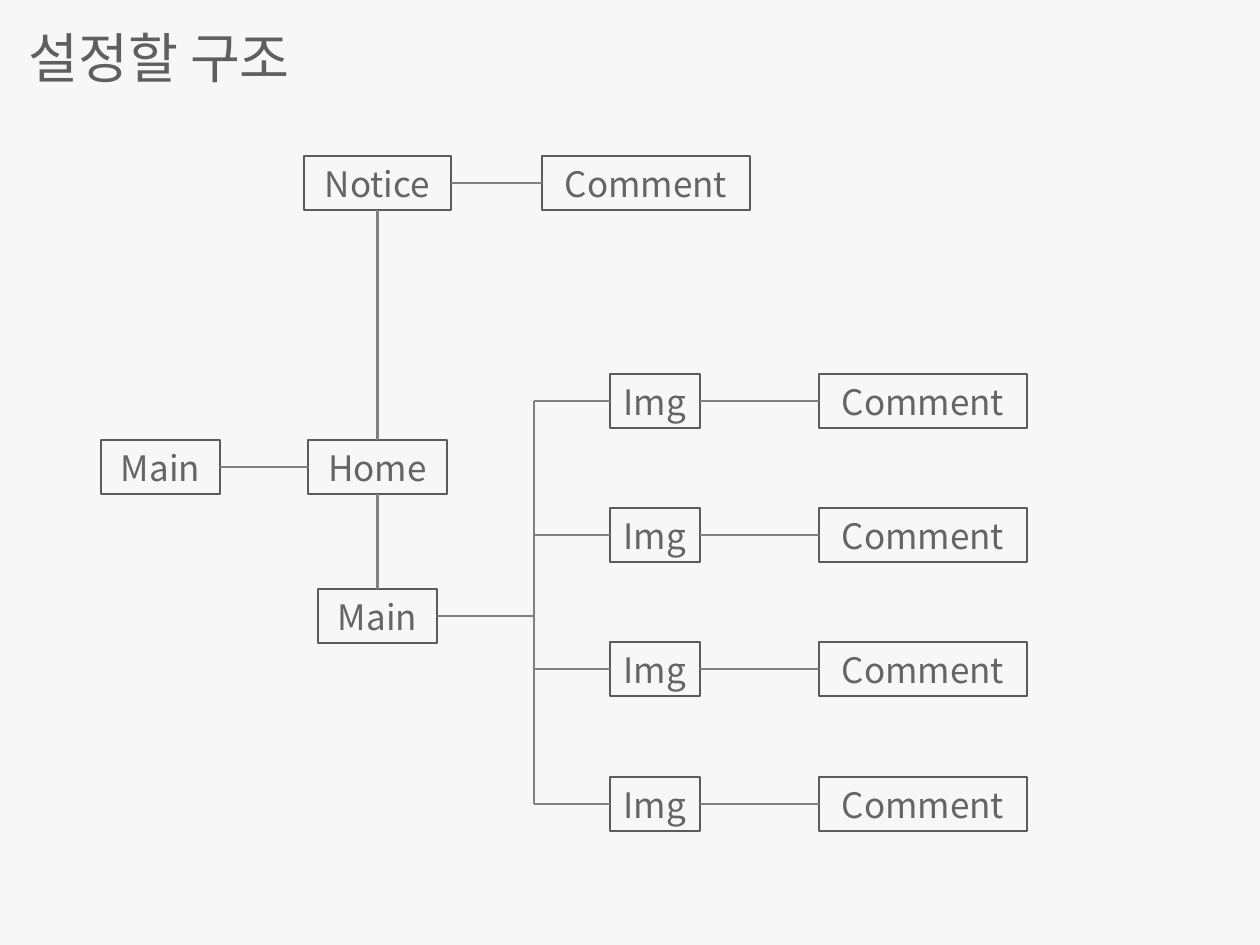
"""Build the slide that shows the planned site structure as a tree of boxes."""
import pptx
import pptx.dml.color
import pptx.enum.shapes
import pptx.enum.text
import pptx.oxml.ns
import pptx.util
from lxml import etree

SCALE = 914400 / 126
FONT = "Noto Sans CJK KR"
BACKGROUND = pptx.dml.color.RGBColor(0xF7, 0xF7, 0xF7)
TITLE = pptx.dml.color.RGBColor(0x5F, 0x5F, 0x5F)
TEXT = pptx.dml.color.RGBColor(0x66, 0x65, 0x65)
BORDER = pptx.dml.color.RGBColor(0x5B, 0x5B, 0x5B)
LINK = pptx.dml.color.RGBColor(0x80, 0x80, 0x80)
BOX_HEIGHT = 54
TRUNK_X = 534


def px(*values):
    return [pptx.util.Emu(round(v * SCALE)) for v in values]


def add_run(sp, text, size, color):
    tf = sp.text_frame
    tf.vertical_anchor = pptx.enum.text.MSO_ANCHOR.MIDDLE
    tf.word_wrap = False
    p = tf.paragraphs[0]
    r = p.add_run()
    r.text = text
    r.font.size = pptx.util.Pt(size)
    r.font.name = FONT
    r.font.color.rgb = color
    ea = etree.SubElement(r.font._element, pptx.oxml.ns.qn("a:ea"))
    ea.set("typeface", FONT)
    return p


prs = pptx.Presentation()
prs.slide_width, prs.slide_height = px(1260, 945)
s = prs.slides.add_slide(prs.slide_layouts[6])
s.background.fill.solid()
s.background.fill.fore_color.rgb = BACKGROUND

title = s.shapes.add_textbox(*px(16, 18, 295, 78))
add_run(title, "설정할 구조", 31, TITLE)

nodes = [
    ("main", "Main", 101, 440, 119),
    ("home", "Home", 308, 440, 139),
    ("notice", "Notice", 304, 156, 147),
    ("notice comment", "Comment", 542, 156, 208),
    ("gallery", "Main", 318, 589, 119),
]
links = [
    ("main", 3, "home", 1),
    ("notice", 2, "home", 0),
    ("notice", 3, "notice comment", 1),
    ("home", 2, "gallery", 0),
]
row_tops = [374 + i * 403 // 3 for i in range(4)]
for i, top in enumerate(row_tops):
    nodes.append((f"img {i}", "Img", 610, top, 90))
    nodes.append((f"comment {i}", "Comment", 819, top, 208))
    links.append((f"img {i}", 3, f"comment {i}", 1))

boxes = {}
for key, text, left, top, width in nodes:
    sp = s.shapes.add_shape(pptx.enum.shapes.MSO_SHAPE.RECTANGLE, *px(left, top, width, BOX_HEIGHT))
    sp.shadow.inherit = False
    sp.fill.background()
    sp.line.color.rgb = BORDER
    sp.line.width = pptx.util.Pt(1.25)
    p = add_run(sp, text, 20, TEXT)
    p.alignment = pptx.enum.text.PP_ALIGN.CENTER
    boxes[key] = sp

row_centers = [top + BOX_HEIGHT // 2 for top in row_tops]
gallery_y = 589 + BOX_HEIGHT // 2
segments = [((0, 0, 0, 0), *link) for link in links]
segments.append(((TRUNK_X, row_centers[0], TRUNK_X, row_centers[-1]), None, 0, None, 0))
segments.append(((437, gallery_y, TRUNK_X, gallery_y), "gallery", 3, None, 0))
for i, y in enumerate(row_centers):
    segments.append(((TRUNK_X, y, 610, y), None, 0, f"img {i}", 1))

for ends, start, start_side, end, end_side in segments:
    c = s.shapes.add_connector(pptx.enum.shapes.MSO_CONNECTOR.STRAIGHT, *px(*ends))
    if start:
        c.begin_connect(boxes[start], start_side)
    if end:
        c.end_connect(boxes[end], end_side)
    c.line.color.rgb = LINK
    c.line.width = pptx.util.Pt(1.5)
    etree.SubElement(c._element.spPr, pptx.oxml.ns.qn("a:effectLst"))

prs.save("out.pptx")
